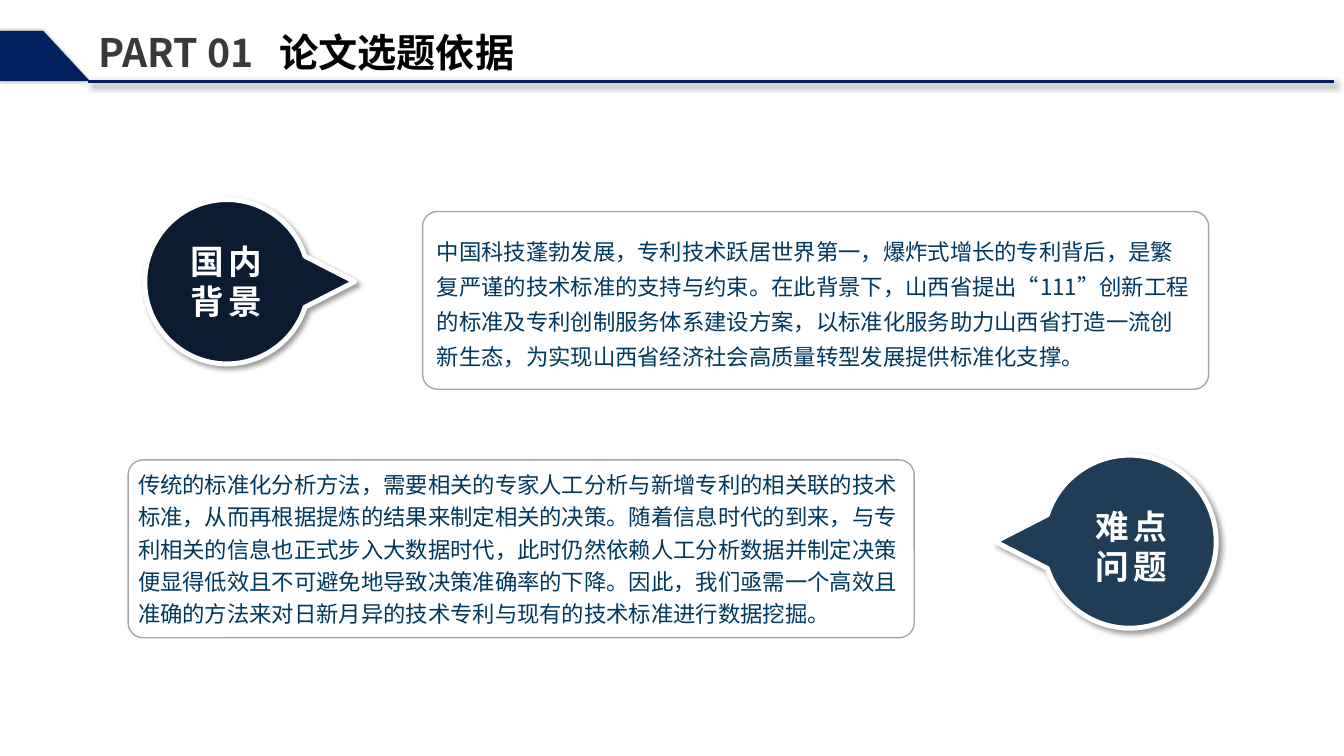
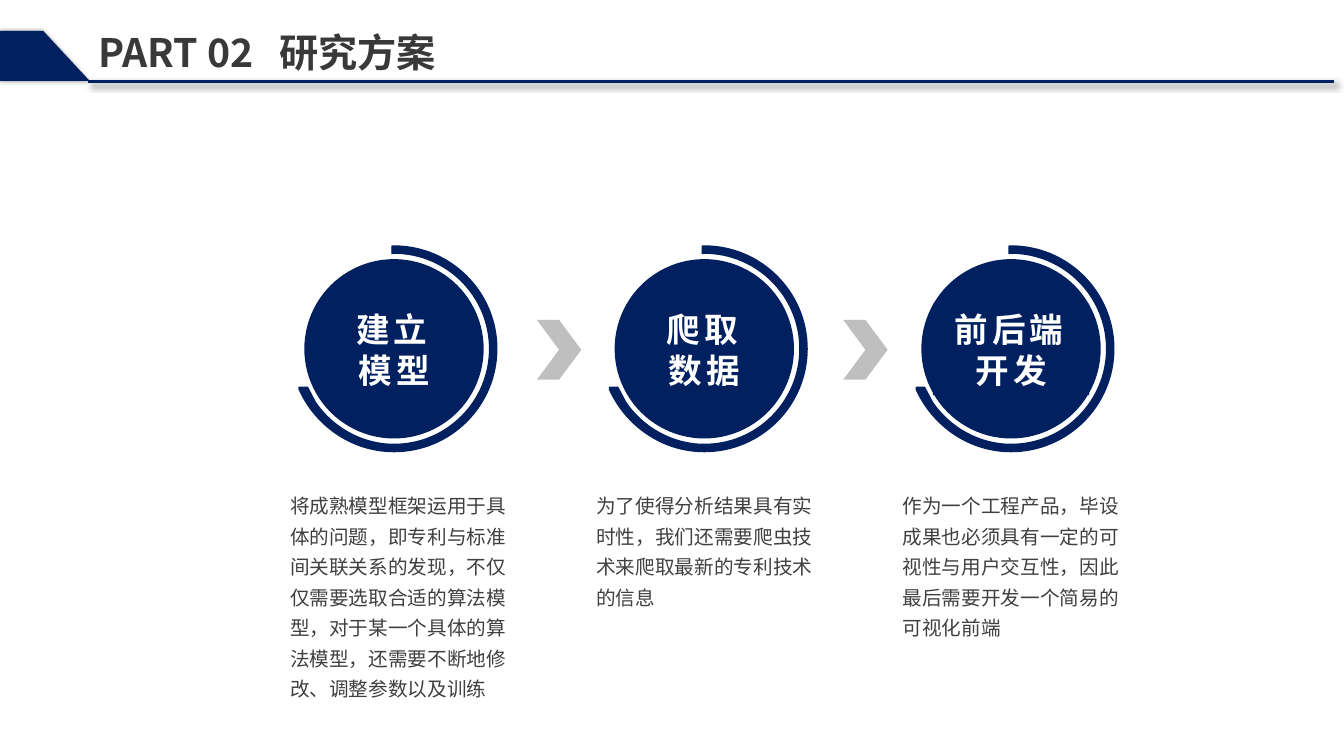
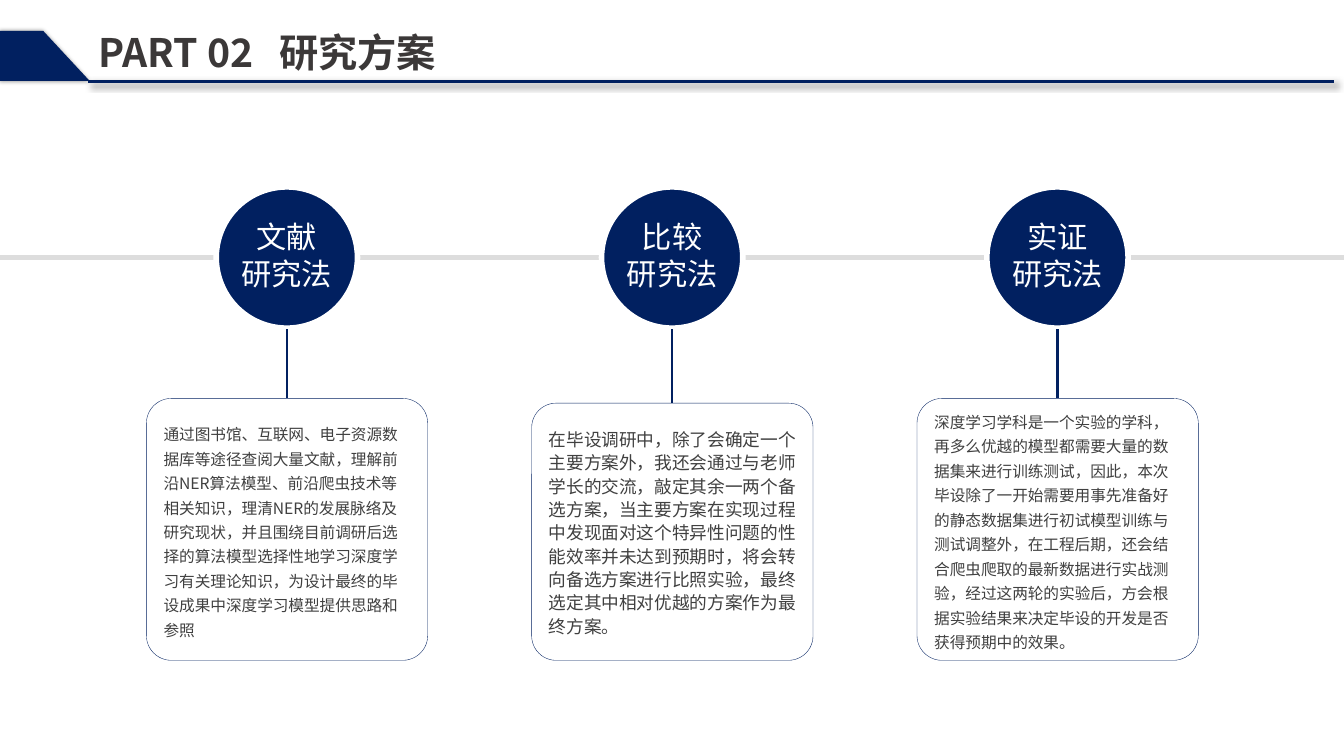
from lxml import etree
from pptx import Presentation
from pptx.dml.color import RGBColor
from pptx.enum.shapes import MSO_CONNECTOR, MSO_SHAPE
from pptx.enum.text import MSO_ANCHOR, MSO_AUTO_SIZE, PP_ALIGN
from pptx.oxml.ns import qn
from pptx.util import Cm, Pt

STRAIGHT = MSO_CONNECTOR.STRAIGHT
OVAL, RECT = MSO_SHAPE.OVAL, MSO_SHAPE.RECTANGLE
ROUNDED, CHEVRON = MSO_SHAPE.ROUNDED_RECTANGLE, MSO_SHAPE.CHEVRON
LEFT, CENTER = PP_ALIGN.LEFT, PP_ALIGN.CENTER
TOP, MIDDLE = MSO_ANCHOR.TOP, MSO_ANCHOR.MIDDLE

NAVY = RGBColor(0x01, 0x20, 0x60)
MIDNIGHT = RGBColor(0x0B, 0x1B, 0x32)
STEEL = RGBColor(0x20, 0x3D, 0x58)
TEAL = RGBColor(0x00, 0x38, 0x60)
CHARCOAL = RGBColor(0x3B, 0x38, 0x38)
BODY = RGBColor(0x40, 0x40, 0x40)
FRAME = RGBColor(0xA6, 0xA6, 0xA6)
SILVER = RGBColor(0xBF, 0xBF, 0xBF)
PALE = RGBColor(0xDD, 0xDD, 0xDD)
WHITE = RGBColor(0xFF, 0xFF, 0xFF)
BLACK = RGBColor(0, 0, 0)
FONT = "Noto Sans CJK JP"
INSETS = (0.25, 0.13, 0.25, 0.13)

# Outlines: a start point, then segments of one point (line) or three (curve)
BAND = [[(0, 2.04)], [(2.26, 2.04)], [(1.09, 0.78)], [(0, 0.78)]]
PIN = [[(1.555, 0)], [(0.95, 0.31)],
       [(0.82, 0.72), (0.43, 1), (0, 1)],
       [(-0.55, 1), (-1, 0.55), (-1, 0)],
       [(-1, -0.55), (-0.55, -1), (0, -1)],
       [(0.43, -1), (0.82, -0.72), (0.95, -0.31)]]
RING = [[(0, -2.59)],
        [(1.43, -2.59), (2.59, -1.43), (2.59, 0)],
        [(2.59, 1.43), (1.43, 2.59), (0, 2.59)],
        [(-1.07, 2.59), (-1.98, 1.93), (-2.39, 1.02)],
        [(-2.39, 0.97)], [(-2.18, 0.97)], [(-1.98, 1.35)],
        [(-1.55, 1.98), (-0.81, 2.41), (0, 2.41)],
        [(1.33, 2.41), (2.41, 1.33), (2.41, 0)],
        [(2.41, -1.33), (1.33, -2.41), (0, -2.41)],
        [(-0.05, -2.4)], [(-0.05, -2.59)]]


def add_outline(shapes, segments, color, cx=0, cy=0, scale=1):
    """Draw a filled outline; three-point segments become Bezier curves."""
    points = [(Cm(cx + scale * x), Cm(cy + abs(scale) * y))
              for segment in segments for x, y in segment]
    builder = shapes.build_freeform(*points[0])
    builder.add_line_segments(points[1:])
    shape = builder.convert_to_shape()
    steps = iter(list(shape._element.iter(qn("a:lnTo"))))
    for segment in segments[1:]:
        pieces = [next(steps) for _ in segment]
        if len(pieces) == 3:
            curve = etree.Element(qn("a:cubicBezTo"))
            pieces[0].addprevious(curve)
            for piece in pieces:
                curve.append(piece[0])
                piece.getparent().remove(piece)
    shape.fill.solid()
    shape.fill.fore_color.rgb = color
    shape.line.fill.background()
    return shape


def write(shape, paragraphs, size, font=FONT, bold=False, align=LEFT, anchor=MIDDLE,
          leading=1.0, tracking=0, insets=INSETS):
    """Fill a shape with paragraphs, each a list of (text, colour) runs."""
    frame = shape.text_frame
    frame.word_wrap = True
    frame.auto_size = MSO_AUTO_SIZE.NONE
    frame.vertical_anchor = anchor
    frame.margin_left, frame.margin_top, frame.margin_right, frame.margin_bottom = map(Cm, insets)
    for number, runs in enumerate(paragraphs):
        paragraph = frame.add_paragraph() if number else frame.paragraphs[0]
        paragraph.alignment = align
        paragraph.line_spacing = leading
        for text, color in runs:
            run = paragraph.add_run()
            run.text = text
            run.font.size = Pt(size)
            run.font.bold = bold
            run.font.color.rgb = color
            run.font.name = font
            properties = run.font._element
            etree.SubElement(properties, qn("a:ea"), typeface=FONT)
            if tracking:
                properties.set("spc", str(tracking * 100))


deck = Presentation()
deck.slide_width, deck.slide_height = Cm(33.87), Cm(19.05)
title_only = deck.slide_layouts[5]
shadows = []  # (shape, blur, distance), applied at the end; zero blur means none

# Shared header: title, navy band and rule
canvases = []
for part, topic, topic_color in [("PART 01", "论文选题依据", BLACK),
                                 ("PART 02", "研究方案", CHARCOAL),
                                 ("PART 02", "研究方案", CHARCOAL)]:
    shapes = deck.slides.add_slide(title_only).shapes
    canvases.append(shapes)

    title = shapes.title
    title.left, title.top, title.width, title.height = Cm(2.24), Cm(0.58), Cm(12.88), Cm(1.45)
    write(title, [[(part + "\t", CHARCOAL), (topic, topic_color)]], 28, bold=True, anchor=TOP)
    tabs = etree.SubElement(title.text_frame.paragraphs[0]._p.get_or_add_pPr(), qn("a:tabLst"))
    etree.SubElement(tabs, qn("a:tab"), pos=str(Cm(4.55)), algn="l")

    shadows.append((add_outline(shapes, BAND, NAVY), 3, 0))

    rule = shapes.add_connector(STRAIGHT, Cm(2.23), Cm(2.05), Cm(33.62), Cm(2.05))
    rule.line.color.rgb = NAVY
    rule.line.width = Pt(2.25)
    shadows.append((rule, 5, 3))

basis, plan, methods = canvases

# Slide 1: pins
for cx, cy, scale, color in [(28.47, 13.65, -2.18, STEEL), (5.72, 7.1, 2.07, MIDNIGHT)]:
    pin = add_outline(basis, PIN, color, cx, cy, scale)
    pin.line.color.rgb = WHITE
    pin.line.width = Pt(3.5)
    shadows.append((pin, 4, 3))

# Slide 1: framed passages
frames = []
for left, top in [(10.65, 5.33), (3.23, 11.59)]:
    frame_box = basis.add_shape(ROUNDED, Cm(left), Cm(top), Cm(19.81), Cm(4.48))
    frame_box.adjustments[0] = 0.084
    frame_box.fill.background()
    frame_box.line.color.rgb = FRAME
    frame_box.line.width = Pt(1)
    frame_box.shadow.inherit = False
    frames.append(frame_box)
background = ("中国科技蓬勃发展，专利技术跃居世界第一，爆炸式增长的专利背后，是繁复严谨的技术标准的支持与约束。"
              "在此背景下，山西省提出“111”创新工程的标准及专利创制服务体系建设方案，"
              "以标准化服务助力山西省打造一流创新生态，为实现山西省经济社会高质量转型发展提供标准化支撑。")
difficulty = ("传统的标准化分析方法，需要相关的专家人工分析与新增专利的相关联的技术标准，"
              "从而再根据提炼的结果来制定相关的决策。随着信息时代的到来，与专利相关的信息也正式步入大数据时代，"
              "此时仍然依赖人工分析数据并制定决策便显得低效且不可避免地导致决策准确率的下降。"
              "因此，我们亟需一个高效且准确的方法来对日新月异的技术专利与现有的技术标准进行数据挖掘。")
write(frames[0], [[(background, TEAL)]], 16, leading=1.3)

# Slide 1: pin labels
for label, left, top in [(("国内", "背景"), 4.05, 6.07), (("难点", "问题"), 26.86, 12.75)]:
    pin_label = basis.add_textbox(Cm(left), Cm(top), Cm(3.3), Cm(2.06))
    write(pin_label, [[(line, WHITE)] for line in label], 24, bold=True, align=CENTER,
          anchor=TOP, tracking=3, insets=(0, 0, 0, 0))

difficulty_text = basis.add_textbox(Cm(3.23), Cm(11.61), Cm(19.82), Cm(4.34))
write(difficulty_text, [[(difficulty, TEAL)]], 16, anchor=TOP, leading=1.2)

# Slide 2: three steps, each a ringed disc over its explanation
STEP_GAP = 7.72
RING_Y = 8.79
steps = [("建立模型", 9.93, 2.62, 5.69,
          "将成熟模型框架运用于具体的问题，即专利与标准间关联关系的发现，不仅仅需要选取合适的算法模型，"
          "对于某一个具体的算法模型，还需要不断地修改、调整参数以及训练"),
         ("爬取数据", 17.75, 2.62, 3.35,
          "为了使得分析结果具有实时性，我们还需要爬虫技术来爬取最新的专利技术的信息"),
         ("前后端开发", 25.48, 3.94, 4.14,
          "作为一个工程产品，毕设成果也必须具有一定的可视性与用户交互性，"
          "因此最后需要开发一个简易的可视化前端")]
for number, (step, cx, label_width, detail_height, detail) in enumerate(steps):
    ring = add_outline(plan, RING, NAVY, cx, RING_Y)
    ring.line.color.rgb = NAVY
    ring.line.width = Pt(1)
    ring.shadow.inherit = False

    step_group = plan.add_group_shape().shapes
    disc = step_group.add_shape(OVAL, Cm(cx - 2.26), Cm(RING_Y - 2.26), Cm(4.52), Cm(4.52))
    step_label = step_group.add_shape(RECT, Cm(cx - label_width / 2), Cm(7.65),
                                      Cm(label_width), Cm(2.31))
    for piece in (disc, step_label):
        piece.fill.solid()
        piece.fill.fore_color.rgb = NAVY
        piece.line.fill.background()
        piece.shadow.inherit = False
    write(step_label, [[(step, WHITE)]], 24, bold=True, align=CENTER, tracking=3)

    explanation = plan.add_textbox(Cm(7.06 + number * STEP_GAP), Cm(12.14),
                                   Cm(5.98), Cm(detail_height))
    write(explanation, [[(detail, BODY)]], 14, anchor=TOP, leading=1.3)

for number in range(2):
    arrow = plan.add_shape(CHEVRON, Cm(13.53 + number * STEP_GAP), Cm(8.06), Cm(1.12), Cm(1.51))
    arrow.fill.solid()
    arrow.fill.fore_color.rgb = SILVER
    arrow.line.fill.background()
    arrow.shadow.inherit = False

# Slide 3: timeline behind three research methods
timeline = methods.add_connector(STRAIGHT, Cm(0), Cm(6.49), Cm(33.87), Cm(6.49))
timeline.line.color.rgb = PALE
timeline.line.width = Pt(3)
shadows.append((timeline, 0, 0))

CARD_BOTTOM = 16.64
for number, (method, card_top, size, leading, detail) in enumerate([
        ("文献", 10.04, 11.2, 1.3,
         "通过图书馆、互联网、电子资源数据库等途径查阅大量文献，理解前沿NER算法模型、前沿爬虫技术等相关知识，"
         "理清NER的发展脉络及研究现状，并且围绕目前调研后选择的算法模型选择性地学习深度学习有关理论知识，"
         "为设计最终的毕设成果中深度学习模型提供思路和参照"),
        ("比较", 10.16, 12.6, 1.1,
         "在毕设调研中，除了会确定一个主要方案外，我还会通过与老师学长的交流，敲定其余一两个备选方案，"
         "当主要方案在实现过程中发现面对这个特异性问题的性能效率并未达到预期时，"
         "将会转向备选方案进行比照实验，最终选定其中相对优越的方案作为最终方案。"),
        ("实证", 10.04, 11.2, 1.3,
         "深度学习学科是一个实验的学科，再多么优越的模型都需要大量的数据集来进行训练测试，因此，"
         "本次毕设除了一开始需要用事先准备好的静态数据集进行初试模型训练与测试调整外，在工程后期，"
         "还会结合爬虫爬取的最新数据进行实战测验，经过这两轮的实验后，"
         "方会根据实验结果来决定毕设的开发是否获得预期中的效果。")]):
    cx = 7.23 + number * 9.71
    node = methods.add_shape(OVAL, Cm(cx - 1.78), Cm(4.71), Cm(3.56), Cm(3.56))
    node.fill.solid()
    node.fill.fore_color.rgb = NAVY
    node.line.color.rgb = WHITE
    node.line.width = Pt(4)
    node.shadow.inherit = False
    write(node, [[(method, WHITE)], [("研究法", WHITE)]], 21.6, font="Arial",
          align=CENTER, insets=(0, 0, 0, 0.13))

    card_group = methods.add_group_shape().shapes
    card = card_group.add_shape(ROUNDED, Cm(cx - 3.54), Cm(card_top), Cm(7.09),
                                Cm(CARD_BOTTOM - card_top))
    card.adjustments[0] = 0.095
    card.fill.background()
    card.line.color.rgb = NAVY
    card.line.width = Pt(0.25)
    card.shadow.inherit = False
    write(card, [[(detail, BODY)]], size, leading=leading)

    stem = card_group.add_connector(STRAIGHT, Cm(cx), Cm(8.3), Cm(cx), Cm(card_top))
    stem.line.color.rgb = NAVY
    stem.line.width = Pt(1.5)
    shadows.append((stem, 0, 0))

# Shadows
for shape, blur, distance in shadows:
    effects = etree.SubElement(shape._element.spPr, qn("a:effectLst"))
    if blur:
        outer = etree.SubElement(effects, qn("a:outerShdw"), blurRad=str(Pt(blur)),
                                 dist=str(Pt(distance)), dir="2700000",
                                 algn="tl", rotWithShape="0")
        black = etree.SubElement(outer, qn("a:srgbClr"), val="000000")
        etree.SubElement(black, qn("a:alpha"), val="40000")

deck.save("out.pptx")
